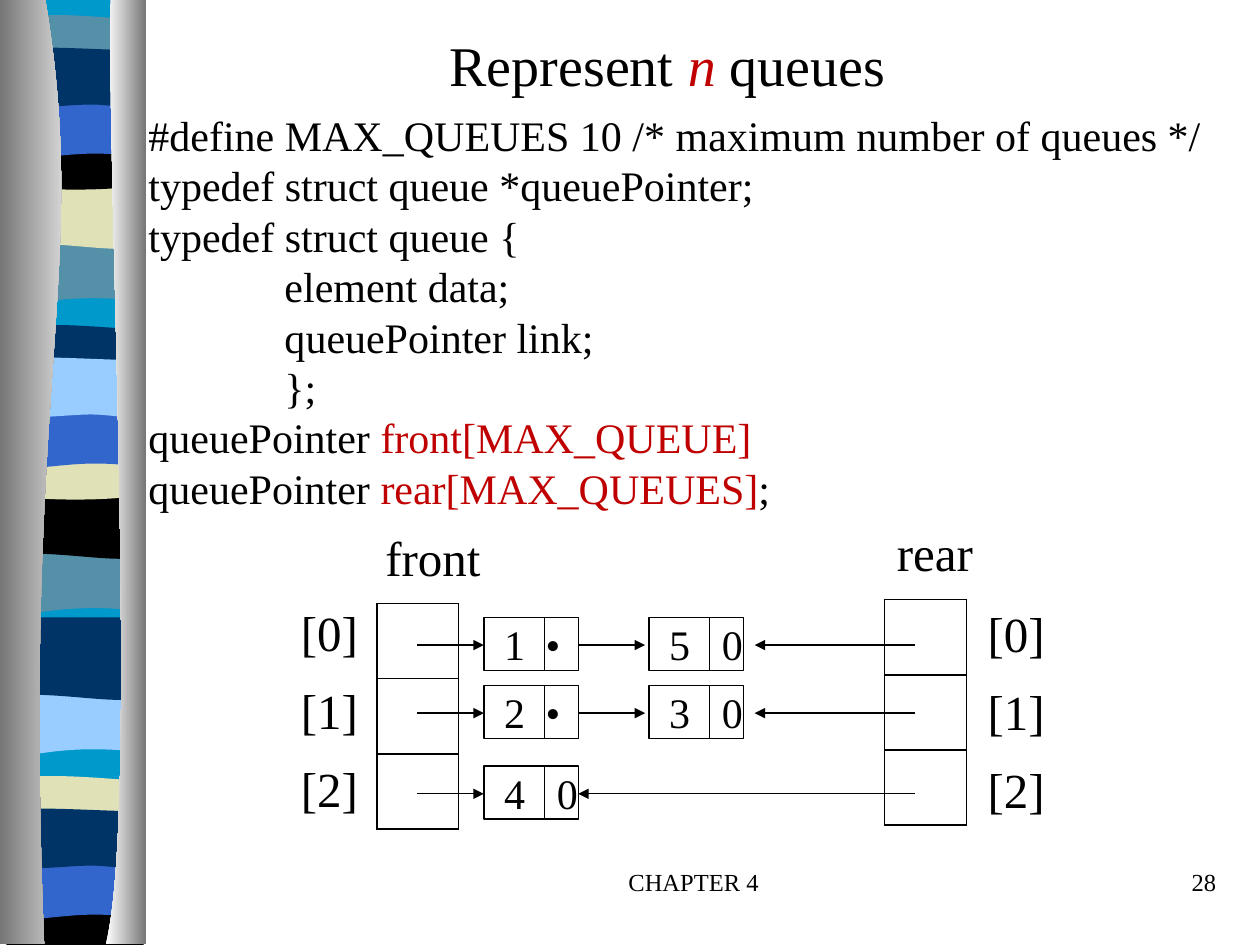
import lxml.etree
import pptx
import pptx.dml.color
import pptx.enum.shapes
import pptx.enum.text
import pptx.oxml.ns
import pptx.util

Inches = pptx.util.Inches
ALIGN = pptx.enum.text.PP_ALIGN
BLACK, RED, WHITE, GRAY = "000000", "C00000", "FFFFFF", "767676"
SKY, TEAL, NAVY, BLUE = "0099CC", "5490A8", "003366", "3366CC"
SAND, PALE = "E1E1B7", "99CCFF"
WAVES = {
    "flat": [(0, 0), (0.36, 0), (0.72, 0), (1.09, 0)],
    "crest": [(0, 0), (0.07, -0.05), (0.24, -0.04), (0.42, -0.04),
              (0.6, -0.04), (0.95, -0.01), (1.09, 0)],
    "swell": [(0, 0), (0.16, -0.05), (0.74, 0), (1.09, 0)],
    "ripple": [(0, 0), (0.12, 0.05), (0.49, 0), (0.67, 0),
               (0.85, 0), (1.02, 0.05), (1.09, 0)],
    "arch": [(0, 0), (0.16, 0), (0.49, -0.05), (0.67, -0.05),
             (0.85, -0.05), (0.92, -0.05), (1.09, 0)],
    "sag": [(0, 0), (0.19, 0.06), (0.91, 0.06), (1.09, 0)],
    "roll": [(0, 0), (0.34, -0.06), (0.91, 0.08), (1.09, 0)],
    "drift": [(0, 0), (0.19, 0.08), (0.34, -0.08), (1.09, 0)],
}
BANDS = [
    ("flat", 1.85, "drift", 2.39), ("flat", 1.32, "roll", 1.95),
    ("crest", 0.16, "sag", 0.5), ("sag", 1.08, "sag", 1.46),
    ("flat", 0.74, "arch", 1.27), ("swell", 0.4, "ripple", 0.83),
]
REPEATS = [
    ((0, 0), (TEAL, SAND, TEAL, BLACK, BLUE, NAVY)),
    ((2.46, 2.46), (TEAL, BLACK, NAVY, SAND, BLUE, PALE)),
    ((3.58, 6.04), (PALE, NAVY, SAND, BLACK, BLUE, NAVY)),
]
CODE = [
    (0, [("#define MAX_QUEUES 10 /* maximum number of queues */", BLACK)]),
    (0, [("typedef struct queue *queuePointer;", BLACK)]),
    (0, [("typedef struct queue {", BLACK)]),
    (1.08, [("element data;", BLACK)]),
    (1.08, [("queuePointer link;", BLACK)]),
    (1.08, [("};", BLACK)]),
    (0, [("queuePointer ", BLACK), ("front[MAX_QUEUE]", RED)]),
    (0, [("queuePointer ", BLACK), ("rear[MAX_QUEUES]", RED), (";", BLACK)]),
]


def color(value):
    return pptx.dml.color.RGBColor.from_string(value)


def apply(target, values):
    for name, value in values.items():
        setattr(target, name, value)


def add_child(parent, tag, **values):
    return lxml.etree.SubElement(parent, pptx.oxml.ns.qn(tag), values)


def write(para, spans, size):
    for text, hue, *italic in spans:
        span = para.add_run()
        span.text = text
        apply(span.font, {"name": "Times New Roman", "size": pptx.util.Pt(size),
                          "italic": bool(italic)})
        span.font.color.rgb = color(hue)


def text_box(page, box, spans, size, align=ALIGN.LEFT, wrap=True):
    frame = page.shapes.add_textbox(*map(Inches, box)).text_frame
    frame.word_wrap = wrap
    para = frame.paragraphs[0]
    para.alignment = align
    write(para, spans, size)
    return frame


def line(page, start, end, arrow=False):
    connector = page.shapes.add_connector(
        pptx.enum.shapes.MSO_CONNECTOR.STRAIGHT, *map(Inches, start + end))
    connector.line.width = pptx.util.Pt(0.75)
    connector.line.color.rgb = color(BLACK)
    if arrow:
        add_child(connector.line._get_or_add_ln(), "a:tailEnd", type="triangle")
    add_child(connector._element.spPr, "a:effectLst")


def outline(page, edges, fills):
    corners = [(Inches(x), Inches(y)) for edge in edges for x, y in edge]
    curved = [index > 0 for edge in edges for index in range(len(edge))][1:]
    builder = page.shapes.build_freeform(*corners[0], scale=1)
    builder.add_line_segments(corners[1:], close=True)
    shape = builder.convert_to_shape()
    segments = list(shape._element.iter(pptx.oxml.ns.qn("a:lnTo")))
    bends = [segment for segment, bent in zip(segments, curved) if bent]
    for first in range(0, len(bends), 3):
        group = bends[first:first + 3]
        bend = lxml.etree.Element(pptx.oxml.ns.qn("a:cubicBezTo"))
        group[0].addprevious(bend)
        for segment in group:
            bend.append(segment[0])
            segment.getparent().remove(segment)
    shape.shadow.inherit = False
    shape.line.fill.background()
    if len(fills) == 1:
        shape.fill.solid()
        shape.fill.fore_color.rgb = color(fills[0])
    else:
        shape.fill.gradient()
        shape.fill.gradient_angle = 0
        for stop, hue in zip(shape.fill.gradient_stops, fills):
            stop.color.rgb = color(hue)


def band(page, left, top, upper, rise, lower, fall, hue):
    edges = [[(left + x, top + offset + y) for x, y in WAVES[wave]]
             for wave, offset in ((upper, rise), (lower, fall))]
    outline(page, [edges[0], edges[1][::-1]], [hue])


def ribbon(page, left, top, width, height):
    band(page, left + 0.05, top, "flat", 0, "flat", height - 0.02, SKY)
    for offsets, hues in REPEATS:
        for index, (piece, hue) in enumerate(zip(BANDS, hues)):
            band(page, left + 0.05, top + offsets[index > 1], *piece, hue)
    bottom = top + height
    rods = [(0, [0.36, 0.72, 0.17, 0.35], [0, 2.16, 2.96, height], [GRAY, WHITE]),
            (width, [0.88, 0.84, 1.11, 0.84], [0, 1.25, 6.46, height], [WHITE, GRAY])]
    for side, across, down, fills in rods:
        edge = [(left + x, top + y) for x, y in zip(across, down)]
        outline(page, [edge, [(left + side, bottom)], [(left + side, top)]], fills)


def code_block(page, box):
    frame = text_box(page, box, [], 24)
    for index, (indent, spans) in enumerate(CODE):
        para = frame.add_paragraph() if index else frame.paragraphs[0]
        para.line_spacing = pptx.util.Pt(28.8)
        if indent:
            para._p.get_or_add_pPr().set("marL", str(Inches(indent)))
        write(para, spans, 24)


def pointer_array(page, left, top, width, height, name, name_at, label_at):
    table = page.shapes.add_table(3, 1, *map(Inches, (left, top, width, height))).table
    apply(table, {"first_row": False, "horz_banding": False})
    for index in range(3):
        cell = table.cell(index, 0)
        properties = cell._tc.get_or_add_tcPr()
        for side in "LRTB":
            border = add_child(properties, f"a:ln{side}", w=str(pptx.util.Pt(1)))
            add_child(add_child(border, "a:solidFill"), "a:srgbClr", val=BLACK)
        cell.fill.solid()
        cell.fill.fore_color.rgb = color(WHITE)
        text_box(page, (label_at[0], label_at[1] + 0.62 * index, 0.66, 0.57),
                 [(f"[{index}]", BLACK)], 28, wrap=False)
    text_box(page, (*name_at, 0.97, 0.57), [(name, BLACK)], 28, wrap=False)


def node(page, left, top, width, height, value, link):
    shape = page.shapes.add_shape(pptx.enum.shapes.MSO_SHAPE.RECTANGLE,
                                  *map(Inches, (left, top, width, height)))
    shape.shadow.inherit = False
    shape.fill.background()
    shape.line.width = pptx.util.Pt(0.75)
    shape.line.color.rgb = color(BLACK)
    line(page, (left + 0.48, top), (left + 0.48, top + height))
    frame = text_box(page, (left - 0.02, top - 0.04, 0.98, 0.5),
                     [(f"{value}\t{link}", BLACK)], 24)
    frame.margin_left = Inches(0.18)
    stops = add_child(frame.paragraphs[0]._p.get_or_add_pPr(), "a:tabLst")
    stop = Inches(0.33 if link == "•" else 0.42)
    add_child(stops, "a:tab", pos=str(stop), algn="l")


def queue_row(page, left, top, width, height, values):
    middle = top + 0.22
    line(page, (left, middle), (left + 0.53, middle), True)
    for index, value in enumerate(values):
        last = index == len(values) - 1
        start = left + 0.53 + 1.31 * index
        node(page, start, top, 0.75, height, value, "0" if last else "•")
        if not last:
            line(page, (start + 0.75, middle), (start + 1.28, middle), True)
    end = left + (2.68 if len(values) > 1 else 1.28)
    line(page, (left + width, middle), (end, middle), True)


def main():
    deck = pptx.Presentation()
    apply(deck, {"slide_width": Inches(10), "slide_height": Inches(7.5)})
    page = deck.slides.add_slide(deck.slide_layouts[6])
    ribbon(page, 0, 0, 1.16, 7.49)
    text_box(page, (3.92, 6.83, 3.17, 0.5), [("CHAPTER 4", BLACK)], 14, ALIGN.CENTER)
    text_box(page, (7.67, 6.83, 2.08, 0.5), [("28", BLACK)], 14, ALIGN.RIGHT)
    code_block(page, (1.08, 0.82, 8.64, 3.4))
    text_box(page, (3.47, 0.19, 4.21, 1.04),
             [("Represent ", BLACK), ("n", RED, True), (" queues", BLACK)], 32)
    pointer_array(page, 2.99, 4.79, 0.65, 1.79, "front", (2.96, 4.14), (2.29, 4.73))
    pointer_array(page, 7.02, 4.76, 0.65, 1.79, "rear", (7.02, 4.1), (7.74, 4.74))
    for top, values in [(4.9, "15"), (5.44, "23"), (6.08, "4")]:
        queue_row(page, 3.31, top, 3.95, 0.42, values)
    deck.save("out.pptx")


if __name__ == "__main__":
    main()
